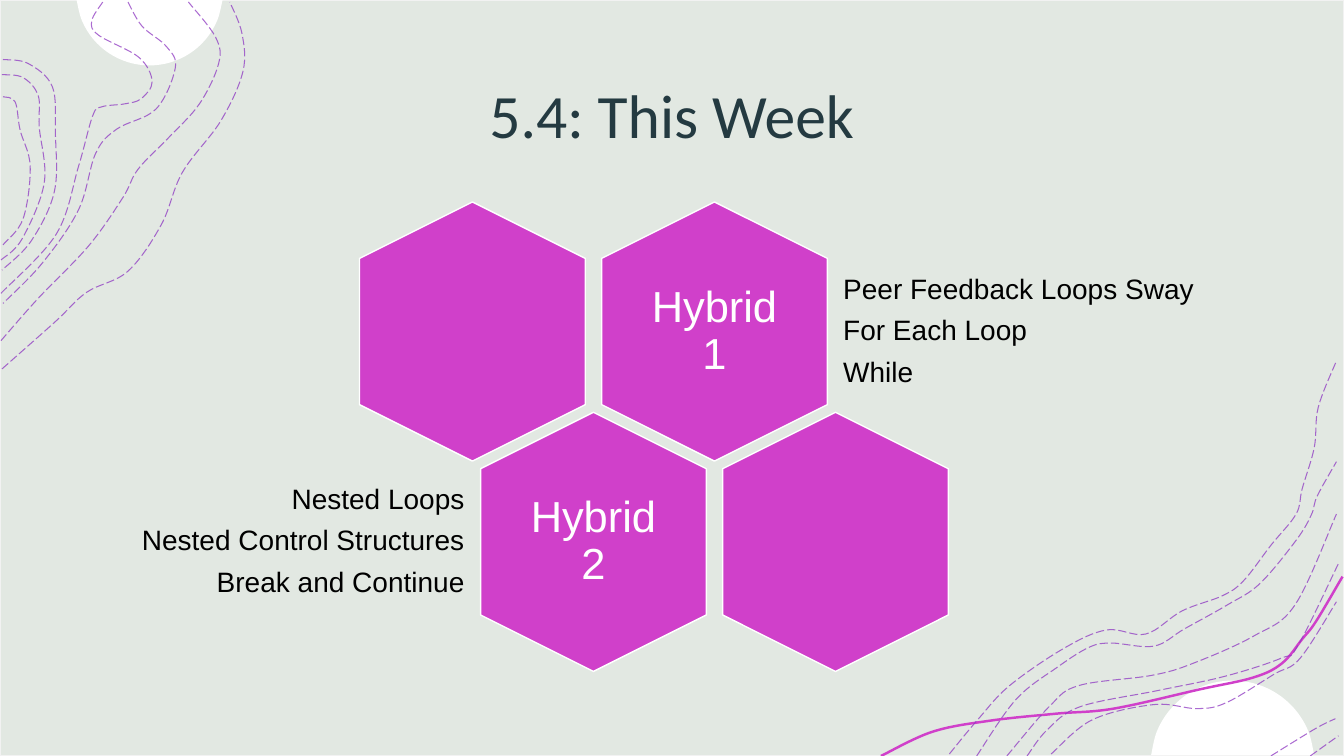
from math import acos, cos, sin

from lxml.etree import SubElement
from pptx import Presentation
from pptx.dml.color import RGBColor
from pptx.enum.dml import MSO_LINE
from pptx.enum.shapes import MSO_SHAPE
from pptx.enum.text import MSO_ANCHOR, PP_ALIGN
from pptx.oxml.ns import qn
from pptx.util import Cm, Pt

MAGENTA, PURPLE, WHITE = "D040CA", "8F3AC2", "FFFFFF"
UNIT = Cm(0.0254)

UPPER_CONTOURS = [
    [(2, 366), (55, 319), (86, 290), (127, 269), (160, 223), (181, 171), (219, 120), (241, 71),
     (240, 33), (228, 2)],
    [(1, 338), (38, 296), (88, 244), (122, 196), (137, 168), (167, 137), (198, 103), (217, 63),
     (214, 37), (187, 2)],
    [(127, 2), (141, 26), (165, 46), (174, 67), (155, 108), (116, 128), (95, 152), (78, 208),
     (42, 261), (3, 301)],
    [(1, 291), (56, 232), (78, 165), (92, 115), (101, 106), (124, 103), (140, 98), (151, 81),
     (138, 57), (98, 35), (91, 21), (102, 2)],
    [(3, 59), (28, 63), (52, 86), (55, 132), (54, 190), (31, 239), (2, 268)],
    [(2, 74), (23, 77), (38, 95), (39, 126), (44, 181), (22, 237), (1, 258)],
    [(3, 96), (15, 101), (20, 129), (30, 165), (23, 217), (3, 243)],
]

LOWER_CONTOURS = [
    [(142, 448), (171, 413), (202, 380), (256, 343), (298, 325), (337, 329), (373, 306),
     (413, 291), (434, 276), (461, 241), (486, 210), (492, 185), (504, 144), (508, 104), (526, 58)],
    [(169, 450), (208, 394), (249, 362), (281, 342), (303, 338), (345, 341), (375, 324),
     (418, 300), (450, 279), (486, 236), (501, 211), (507, 192), (526, 158)],
    [(500, 450), (528, 430)],
    [(461, 450), (505, 423), (525, 413)],
    [(243, 448), (284, 414), (345, 399), (388, 403), (417, 397), (464, 369), (490, 353), (526, 297)],
    [(219, 450), (239, 424), (272, 401), (349, 385), (415, 371), (471, 353), (488, 340), (528, 259)],
    [(199, 450), (242, 400), (271, 380), (343, 370), (384, 358), (444, 331), (485, 300), (526, 210)],
]

RIBBON = [(74, 450), (125, 426), (182, 415), (248, 408), (305, 403), (390, 384), (444, 372),
          (472, 358), (492, 334), (506, 316), (532, 272)]


def rgb(value):
    """Return the colour for a hex string."""
    return RGBColor.from_string(value)


def bend(sp):
    """Turn the straight segments of a freeform into a smooth spline."""
    path = next(sp._element.iter(qn("a:path")))
    pts = [(int(pt.get("x")), int(pt.get("y"))) for pt in path.iter(qn("a:pt"))]
    padded = [pts[0], *pts, pts[-1]]
    segments = list(path.iter(qn("a:lnTo")))
    for seg, a, b, c, d in zip(segments, padded, padded[1:], padded[2:], padded[3:]):
        seg.tag = qn("a:cubicBezTo")
        start = [q + (r - p) / 6 for p, q, r in zip(a, b, c)]
        end = [q - (r - p) / 6 for p, q, r in zip(b, c, d)]
        for child in list(seg):
            seg.remove(child)
        for x, y in (start, end, c):
            SubElement(seg, qn("a:pt"), x=str(round(x)), y=str(round(y)))


def add_outline(slide, left, top, points, close=False):
    """Add a smooth freeform whose points are offsets from left and top."""
    points = [(left + x, top + y) for x, y in points]
    builder = slide.shapes.build_freeform(*points[0])
    builder.add_line_segments(points[1:], close=close)
    sp = builder.convert_to_shape()
    sp.shadow.inherit = False
    bend(sp)
    return sp


def add_curve(slide, left, top, points, color, width):
    """Add a smooth open line."""
    sp = add_outline(slide, left, top, [(x * UNIT, y * UNIT) for x, y in points])
    sp.fill.background()
    sp.line.color.rgb = rgb(color)
    sp.line.width = Pt(width)
    return sp


def add_contours(slide, left, top, contours):
    """Add a set of translucent dashed contour lines."""
    for points in contours:
        sp = add_curve(slide, left, top, points, PURPLE, 0.75)
        sp.line.dash_style = MSO_LINE.LONG_DASH
        for clr in sp.line._get_or_add_ln().iter(qn("a:srgbClr")):
            SubElement(clr, qn("a:alpha"), val="75000")


def add_cap(slide, left, top, width, height, rising):
    """Add a white circle segment that fills the box, rising or hanging."""
    half = width / 2
    radius = (half ** 2 + height ** 2) / (2 * height)
    reach = acos((radius - height) / radius)
    points = []
    for i in range(-5, 6):
        angle = reach * i / 5
        drop = radius * (1 - cos(angle))
        points.append((half + radius * sin(angle), drop if rising else height - drop))
    sp = add_outline(slide, left, top, points, close=True)
    sp.fill.solid()
    sp.fill.fore_color.rgb = rgb(WHITE)
    sp.line.fill.background()


def add_preset(slide, shape, left, top, width, height, fill, line):
    """Add a filled preset shape with a thin outline."""
    sp = slide.shapes.add_shape(shape, left, top, width, height)
    sp.shadow.inherit = False
    sp.fill.solid()
    sp.fill.fore_color.rgb = rgb(fill)
    sp.line.color.rgb = rgb(line)
    sp.line.width = Pt(1)
    return sp


def add_text(slide, left, top, width, height, lines, size, color, align,
             font="Arial", inset=Cm(0.2), spacing=0.9):
    """Add a vertically centred text box with one paragraph per line."""
    tf = slide.shapes.add_textbox(left, top, width, height).text_frame
    tf.word_wrap = True
    tf.vertical_anchor = MSO_ANCHOR.MIDDLE
    tf.margin_left = tf.margin_right = tf.margin_top = tf.margin_bottom = inset
    tf.text = "\n".join(lines)
    for p in tf.paragraphs:
        p.alignment = align
        p.line_spacing = spacing
        r = p.runs[0]
        r.font.name, r.font.size, r.font.color.rgb = font, Pt(size), rgb(color)
    for p in tf.paragraphs[:-1]:
        p.space_after = Pt(8)


def add_backdrop(slide, width, height):
    """Add the tinted page with its corner decoration."""
    add_preset(slide, MSO_SHAPE.RECTANGLE, 0, 0, width, height, "E2E8E2", "F2F2F2")
    add_cap(slide, Cm(1.93), 0, Cm(3.68), Cm(1.65), rising=False)
    add_cap(slide, Cm(29.01), Cm(17.15), Cm(4.11), Cm(1.88), rising=True)
    corner = width - Cm(13.55), height - Cm(11.43)
    add_curve(slide, *corner, RIBBON, MAGENTA, 1.75)
    add_contours(slide, 0, 0, UPPER_CONTOURS)
    add_contours(slide, *corner, LOWER_CONTOURS)


def add_honeycomb(slide, left, top):
    """Add two staggered rows of hexagons with labels and side notes."""
    width, height, gap = Cm(5.69), Cm(6.53), Cm(0.2)
    label_w, label_h, note_h = Cm(3.91), Cm(4.5), Cm(3.91)
    labels = {(0, 1): "Hybrid 1", (1, 0): "Hybrid 2"}
    for row in range(2):
        for col in range(2):
            x = left + width // 2 + row * Cm(3.05) + col * Cm(6.1)
            y = top + height // 2 + row * Cm(5.3)
            sp = add_preset(slide, MSO_SHAPE.HEXAGON, x - height // 2, y - width // 2,
                            height, width, MAGENTA, WHITE)
            sp.rotation = 90
            sp.adjustments[0] = 0.25
            if (row, col) in labels:
                add_text(slide, x - label_w // 2, y - label_h // 2, label_w, label_h,
                         [labels[row, col]], 31, WHITE, PP_ALIGN.CENTER, inset=Cm(0.33))
    upper_y = top + (height - note_h) // 2
    add_text(slide, left + Cm(6.1) + width + gap, upper_y, Cm(9.88), note_h,
             ["Peer Feedback Loops Sway", "For Each Loop", "While"], 20, "000000", PP_ALIGN.LEFT)
    note_w = Cm(8.94)
    add_text(slide, left + Cm(3.05) - gap - note_w, upper_y + Cm(5.3), note_w, note_h,
             ["Nested Loops", "Nested Control Structures", "Break and Continue"],
             20, "000000", PP_ALIGN.RIGHT)


def main():
    """Build and save the slide."""
    prs = Presentation()
    prs.slide_width, prs.slide_height = Cm(33.87), Cm(19.05)
    slide = prs.slides.add_slide(prs.slide_layouts[6])
    add_backdrop(slide, prs.slide_width, prs.slide_height)
    add_text(slide, Cm(2.33), Cm(1.02), Cm(29.21), Cm(3.68), ["5.4: This Week"], 44, "243A41",
             PP_ALIGN.CENTER, font="Calibri", spacing=1.0)
    add_honeycomb(slide, Cm(9.06), Cm(5.09))
    prs.save("out.pptx")


if __name__ == "__main__":
    main()
